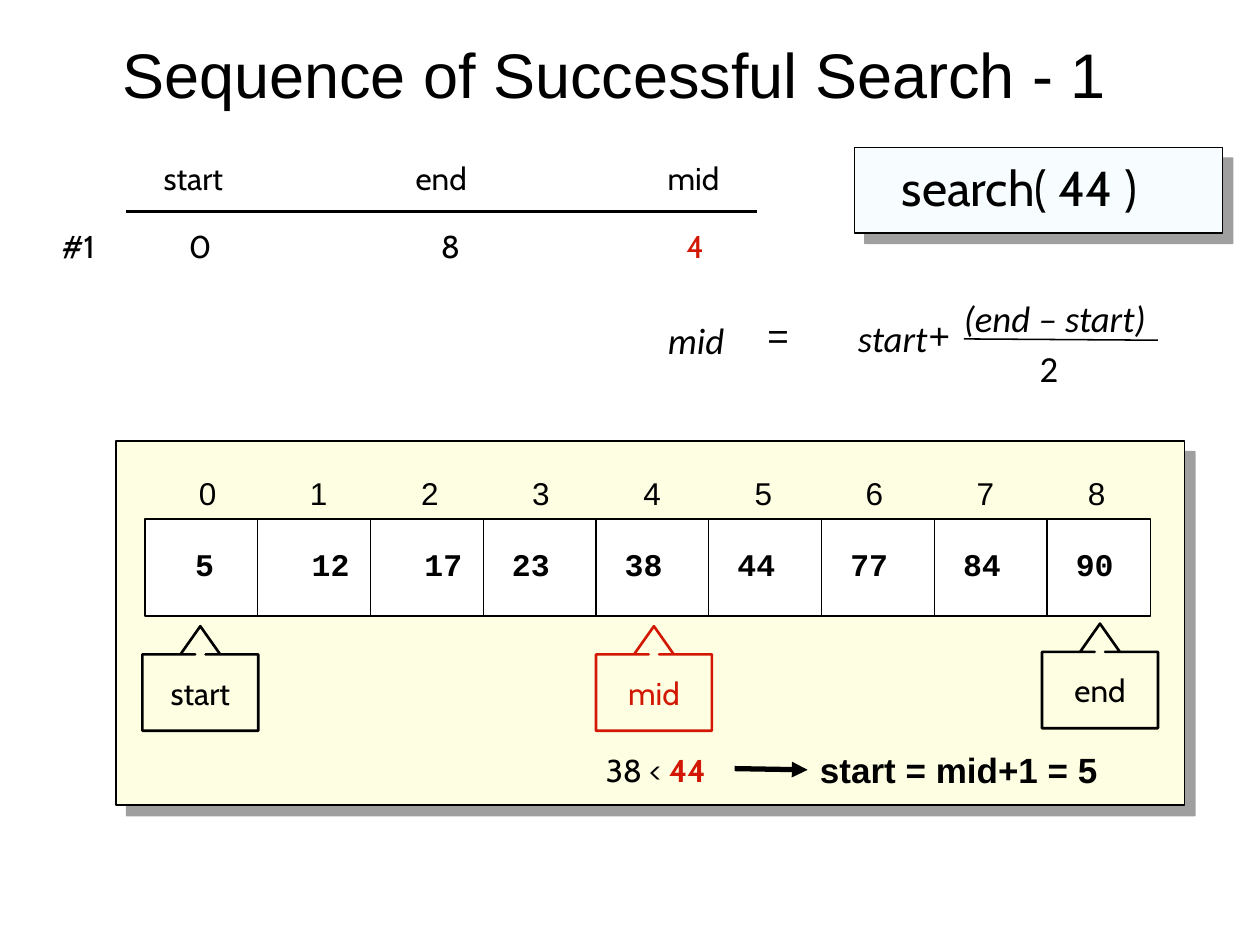
from lxml.etree import SubElement as Sub
from pptx import Presentation
from pptx.dml.color import RGBColor as Rgb
from pptx.enum.shapes import MSO_CONNECTOR as Conn, MSO_SHAPE as Kind
from pptx.enum.text import MSO_ANCHOR as Anchor, MSO_AUTO_SIZE as Fit, PP_ALIGN as Align
from pptx.oxml.ns import qn
from pptx.util import Inches, Pt

WIDE, HIGH = 10, 7.5
COLS, ROWS = 100, 75

THEME = {
    "ink": "000000", "red": "D21804", "white": "FFFFFF",
    "sky": "F7FDFF", "cream": "FDFEE2", "shade": "808080",
    "thin": 0.75, "rule": 0.88, "mid": 1.5, "bold": 3,
    "title": {"name": "Arial", "size": Pt(36)},
    "call": {"name": "Cabin", "size": Pt(28)},
    "label": {"name": "Cabin", "size": Pt(18)},
    "strong": {"name": "Cabin", "size": Pt(18), "bold": True},
    "index": {"name": "Arial", "size": Pt(18)},
    "value": {"name": "Courier New", "size": Pt(18), "bold": True},
    "result": {"name": "Arial", "size": Pt(20), "bold": True},
    "sign": {"name": "Arial", "size": Pt(21)},
    "number": {"name": "Calibri", "size": Pt(21)},
    "term": {"name": "Calibri", "size": Pt(21), "italic": True},
}

PANELS = [((67.8, 11.7, 29.2, 6.8), "sky"), ((9.2, 35, 84.8, 28.9), "cream")]
ARRAY = (11.5, 41.2, 79.8, 7.7)
VALUES = [5, 12, 17, 23, 38, 44, 77, 84, 90]
INSETS = [3, 3.3, 3.3] + [1.3] * 6
STEP, PITCH = 8.95, 8.82
LABELS = [
    ((70.6, 12, 22.9, 5.7), "search( 44 )", "call", "ink"),
    ((12, 12.1, 46.5, 4), "start\t\tend\t\tmid", "label", "ink"),
    ((14, 17.5, 25.9, 4), "0\t\t8", "label", "ink"),
    ((3.9, 17.5, 5, 4), "#1", "label", "ink"),
    ((53.5, 17.5, 3.4, 4), "4", "label", "red"),
]
FORMULA = [
    ((53, 25.2, 4.5, 3.5), "mid", "term"),
    ((60.9, 24.8, 2.3, 3.5), "=", "sign"),
    ((68.1, 25.1, 5.6, 3.5), "start", "term"),
    ((73.7, 24.8, 1.7, 3.5), "+", "sign"),
    ((76.5, 23.5, 17, 3.5), "(end – start)", "term"),
    ((82.5, 27.4, 1.5, 3.5), "2", "number"),
]
RULES = [((10, 16.8, 60.1, 16.8), "mid"), ((76.5, 26.9, 91.9, 27), "rule")]
MARKS = [(11.3, 49.7, "start", "ink"), (47.3, 49.7, "mid", "red"), (82.7, 49.5, "end", "ink")]
MARK_SIZE = (9.2, 8.3)
BENDS = (0.1, 0.19, 0.27, 1.07)
TEST = ((47.1, 59.1, 10.4, 4), [("38 < ", "label", "ink"), ("44", "strong", "red")])
RESULT = ((64.1, 58.9, 27, 4.4), "start = mid+1 = 5", "result", "ink")
ARROW = (58.3, 61, 64.1, 61.1)

deck = Presentation()
deck.slide_width, deck.slide_height = Inches(WIDE), Inches(HIGH)
slide = deck.slides.add_slide(deck.slide_layouts[6])
shapes = slide.shapes


def place(box):
    units = (WIDE / COLS, HIGH / ROWS) * 2
    return [Inches(part * unit) for part, unit in zip(box, units)]


def tint(name):
    return Rgb.from_string(THEME[name])


def stroke(line, color, width):
    line.color.rgb = tint(color)
    line.width = Pt(THEME[width])


def write(frame, runs, **form):
    for key, val in form.items():
        setattr(frame, key, val)
    para = frame.paragraphs[0]
    if any("\t" in words for words, _, _ in runs):
        tabs = Sub(para._p.get_or_add_pPr(), qn("a:tabLst"))
        for stop in range(1, 5):
            Sub(tabs, qn("a:tab"), pos=str(Inches(stop)), algn="l")
    for words, style, color in runs:
        run = para.add_run()
        run.text = words
        for key, val in THEME[style].items():
            setattr(run.font, key, val)
        run.font.color.rgb = tint(color)
    return para


def label(box, runs, wrap=False, **form):
    text = shapes.add_textbox(*place(box))
    write(text.text_frame, runs, word_wrap=wrap, auto_size=Fit.SHAPE_TO_FIT_TEXT, **form)
    return text


def block(box, fill=None, color="ink", width="thin", kind=Kind.RECTANGLE):
    shape = shapes.add_shape(kind, *place(box))
    shape.shadow.inherit = False
    if fill:
        shape.fill.solid()
        shape.fill.fore_color.rgb = tint(fill)
    else:
        shape.fill.background()
    stroke(shape.line, color, width)
    return shape


def rule(ends, width):
    line = shapes.add_connector(Conn.STRAIGHT, *place(ends))
    stroke(line.line, "ink", width)
    Sub(line._element.spPr, qn("a:effectLst"))
    return line


def shade(shape):
    cast = Sub(shape._element.spPr.find(qn("a:effectLst")), qn("a:outerShdw"),
               dist=str(Pt(8.5)), dir="2700000", algn="ctr", rotWithShape="0")
    color = Sub(cast, qn("a:srgbClr"), val=THEME["shade"])
    Sub(color, qn("a:alpha"), val="75000")


for box, fill in PANELS:
    shade(block(box, fill))

label((8.3, 1.7, 80.8, 8.3), [("Sequence of Successful Search - 1", "title", "ink")],
      wrap=True, vertical_anchor=Anchor.MIDDLE, margin_left=Inches(0.14)
      ).text_frame.auto_size = Fit.NONE

block(ARRAY, "white")
left, top, _, tall = ARRAY
for spot, (value, inset) in enumerate(zip(VALUES, INSETS)):
    edge = left + spot * STEP
    if spot:
        rule((edge, top, edge, top + tall - 0.1), "thin")
    label((edge + inset, 42.8, 2 + 1.5 * len(str(value)), 4), [(str(value), "value", "ink")])
    label((14.8 + spot * PITCH, 37.1, 3.4, 4), [(str(spot), "index", "ink")])

for box, *run in LABELS:
    label(box, [run])
flat = dict.fromkeys(("margin_left", "margin_right", "margin_top", "margin_bottom"), 0)
for box, words, style in FORMULA:
    label(box, [(words, style, "ink")], **flat)
for ends, width in RULES:
    rule(ends, width)

for x, y, words, color in MARKS:
    mark = block((x, y, *MARK_SIZE), color=color, width="mid", kind=Kind.UP_ARROW_CALLOUT)
    for spot, bend in enumerate(BENDS):
        mark.adjustments[spot] = bend
    para = write(mark.text_frame, [(words, "label", color)],
                 word_wrap=False, vertical_anchor=Anchor.MIDDLE)
    para.alignment = Align.CENTER

label(*TEST)
box, *run = RESULT
goal = label(box, [run])
arrow = rule(ARROW, "bold")
arrow.end_connect(goal, 1)
Sub(arrow.line._get_or_add_ln(), qn("a:tailEnd"), type="triangle")

deck.save("out.pptx")
